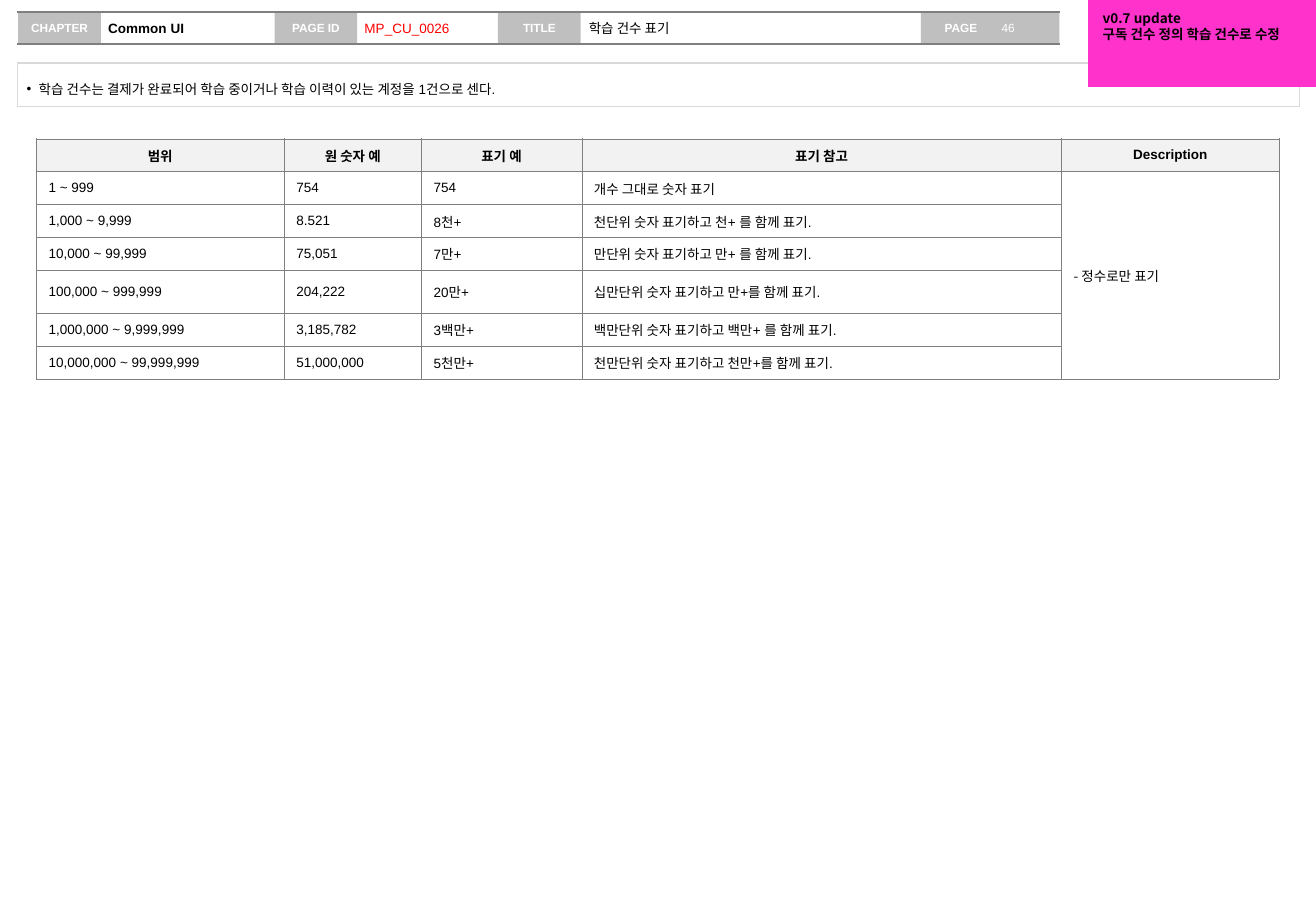
from pptx import Presentation
from pptx.dml.color import RGBColor
from pptx.enum.shapes import MSO_CONNECTOR, MSO_SHAPE
from pptx.enum.text import MSO_ANCHOR, PP_ALIGN
from pptx.oxml.ns import qn
from pptx.util import Cm, Pt
from lxml import etree

BLACK = RGBColor(0x00, 0x00, 0x00)
WHITE = RGBColor(0xFF, 0xFF, 0xFF)
RED = RGBColor(0xFF, 0x00, 0x00)
LABEL_GRAY = RGBColor(0xBF, 0xBF, 0xBF)
RULE_GRAY = RGBColor(0x7F, 0x7F, 0x7F)
NOTE_GRAY = RGBColor(0xD9, 0xD9, 0xD9)
HEAD_GRAY = RGBColor(0xF2, 0xF2, 0xF2)
GRID_GRAY = RGBColor(0x80, 0x80, 0x80)
PINK = RGBColor(0xFF, 0x33, 0xCC)

LATIN_FONT = "Arial"
KOREAN_FONT = "Noto Sans CJK KR"
LEFT, CENTER = PP_ALIGN.LEFT, PP_ALIGN.CENTER
TOP, MIDDLE = MSO_ANCHOR.TOP, MSO_ANCHOR.MIDDLE
RECTANGLE = MSO_SHAPE.RECTANGLE
STRAIGHT = MSO_CONNECTOR.STRAIGHT

HEADINGS = ["범위", "원 숫자 예", "표기 예", "표기 참고", "Description"]
RANGES = [
    ["1 ~ 999", "754", "754", "개수 그대로 숫자 표기"],
    ["1,000 ~ 9,999", "8.521", "8천+", "천단위 숫자 표기하고 천+ 를 함께 표기."],
    ["10,000 ~ 99,999", "75,051", "7만+", "만단위 숫자 표기하고 만+ 를 함께 표기."],
    ["100,000 ~ 999,999", "204,222", "20만+", "십만단위 숫자 표기하고 만+를 함께 표기."],
    ["1,000,000 ~ 9,999,999", "3,185,782", "3백만+", "백만단위 숫자 표기하고 백만+ 를 함께 표기."],
    ["10,000,000 ~ 99,999,999", "51,000,000", "5천만+", "천만단위 숫자 표기하고 천만+를 함께 표기."],
]
DESCRIPTION = "- 정수로만 표기"
COLUMN_WIDTHS = [5.18, 2.87, 3.35, 10.03, 4.55]
ROW_HEIGHTS = [0.69, 0.69, 0.69, 0.69, 0.89, 0.69, 0.69]


def write(frame, text, size=8, color=BLACK, bold=False, align=LEFT, font=LATIN_FONT):
    frame.text = text
    for paragraph in frame.paragraphs:
        paragraph.alignment = align
        for run in paragraph.runs:
            run.font.name = font
            run.font.size = Pt(size)
            run.font.bold = bold
            run.font.color.rgb = color
            east_asian = etree.Element(qn("a:ea"), typeface=KOREAN_FONT)
            run.font._element.find(qn("a:latin")).addnext(east_asian)


def set_frame(frame, anchor, left, top, right, bottom, wrap=True):
    frame.vertical_anchor = anchor
    frame.margin_left, frame.margin_top = Cm(left), Cm(top)
    frame.margin_right, frame.margin_bottom = Cm(right), Cm(bottom)
    frame.word_wrap = wrap


def add_box(slide, left, top, width, height, fill=None, line=None):
    box = slide.shapes.add_shape(RECTANGLE, Cm(left), Cm(top), Cm(width), Cm(height))
    box.shadow.inherit = False
    if fill is None:
        box.fill.background()
    else:
        box.fill.solid()
        box.fill.fore_color.rgb = fill
    if line is None:
        box.line.fill.background()
    else:
        box.line.color.rgb = line
        box.line.width = Pt(0.75)
    return box


def add_header(slide, left, top, width, height):
    labels = [("CHAPTER", 0.02, 1.73), ("PAGE ID", 5.38, 1.73),
              ("TITLE", 10.05, 1.73), ("PAGE", 18.89, 2.9)]
    for text, offset, label_width in labels:
        label = add_box(slide, left + offset, top, label_width, height, LABEL_GRAY)
        is_page = text == "PAGE"
        set_frame(label.text_frame, MIDDLE, 0.5 if is_page else 0.25, 0.13, 0.25, 0.13, False)
        write(label.text_frame, text, 7, WHITE, True, LEFT if is_page else CENTER)

    for rule_top in (top, top + height):
        rule = slide.shapes.add_connector(
            STRAIGHT, Cm(left), Cm(rule_top), Cm(left + width), Cm(rule_top))
        rule.line.color.rgb = RULE_GRAY
        rule.line.width = Pt(0.75)
        etree.SubElement(rule._element.spPr, qn("a:effectLst"))

    values = [("Common UI", 1.75, 3.63, 8, BLACK, True),
              ("MP_CU_0026", 7.11, 2.95, 8, RED, False),
              ("학습 건수 표기", 11.8, 7.11, 8, BLACK, False),
              ("46", 20.43, 1.36, 7, WHITE, False)]
    for text, offset, value_width, size, color, bold in values:
        place = Cm(left + offset), Cm(top + 0.03), Cm(value_width), Cm(0.61)
        if text == "Common UI":
            value = slide.shapes.title
            value.left, value.top, value.width, value.height = place
        else:
            value = slide.shapes.add_textbox(*place)
        set_frame(value.text_frame, MIDDLE, 0.15, 0.13, 0, 0.13)
        write(value.text_frame, text, size, color, bold)


def set_borders(cell):
    properties = cell._tc.get_or_add_tcPr()
    for index, side in enumerate(("a:lnL", "a:lnR", "a:lnT", "a:lnB")):
        border = etree.Element(qn(side), w=str(Pt(0.25)))
        fill = etree.SubElement(border, qn("a:solidFill"))
        etree.SubElement(fill, qn("a:srgbClr"), val=str(GRID_GRAY))
        properties.insert(index, border)


def add_range_table(slide, left, top, width, height):
    rows = [HEADINGS] + [row + [""] for row in RANGES]
    rows[1][-1] = DESCRIPTION
    table = slide.shapes.add_table(
        len(rows), len(HEADINGS), Cm(left), Cm(top), Cm(width), Cm(height)).table
    for column, column_width in zip(table.columns, COLUMN_WIDTHS):
        column.width = Cm(column_width)
    for row, row_height in zip(table.rows, ROW_HEIGHTS):
        row.height = Cm(row_height)
    for row_index, texts in enumerate(rows):
        is_head = row_index == 0
        for column_index, text in enumerate(texts):
            cell = table.cell(row_index, column_index)
            cell.fill.solid()
            cell.fill.fore_color.rgb = HEAD_GRAY if is_head else WHITE
            cell.vertical_anchor = MIDDLE
            font = KOREAN_FONT if text == DESCRIPTION else LATIN_FONT
            write(cell.text_frame, text, bold=is_head,
                  align=CENTER if is_head else LEFT, font=font)
            set_borders(cell)
    last_column = len(HEADINGS) - 1
    table.cell(1, last_column).merge(table.cell(len(rows) - 1, last_column))


def add_rule_note(slide, left, top, width, height):
    note = add_box(slide, left, top, width, height, line=NOTE_GRAY)
    set_frame(note.text_frame, TOP, 0.2, 0.2, 0.2, 0.2)
    write(note.text_frame, "학습 건수는 결제가 완료되어 학습 중이거나 학습 이력이 있는 계정을 1건으로 센다.")
    paragraph = note.text_frame.paragraphs[0]
    paragraph.line_spacing = 1.5
    properties = paragraph._p.get_or_add_pPr()
    properties.set("marL", str(Cm(0.25)))
    properties.set("indent", str(Cm(-0.25)))
    etree.SubElement(properties, qn("a:buFont"), typeface=LATIN_FONT)
    etree.SubElement(properties, qn("a:buChar"), char="•")


def add_update_note(slide, left, top, width, height):
    note = add_box(slide, left, top, width, height, PINK)
    set_frame(note.text_frame, TOP, 0.3, 0.2, 0.25, 0.13)
    write(note.text_frame, "v0.7 update\n구독 건수 정의 학습 건수로 수정", bold=True, font=KOREAN_FONT)


def main():
    deck = Presentation()
    deck.slide_width, deck.slide_height = Cm(27.51), Cm(19.05)
    slide = deck.slides.add_slide(deck.slide_layouts[5])
    add_header(slide, 0.36, 0.25, 21.79, 0.67)
    add_range_table(slide, 0.76, 2.9, sum(COLUMN_WIDTHS), sum(ROW_HEIGHTS))
    add_rule_note(slide, 0.36, 1.32, 26.8, 0.91)
    add_update_note(slide, 22.75, 0, 4.76, 1.82)
    deck.save("out.pptx")


if __name__ == "__main__":
    main()
